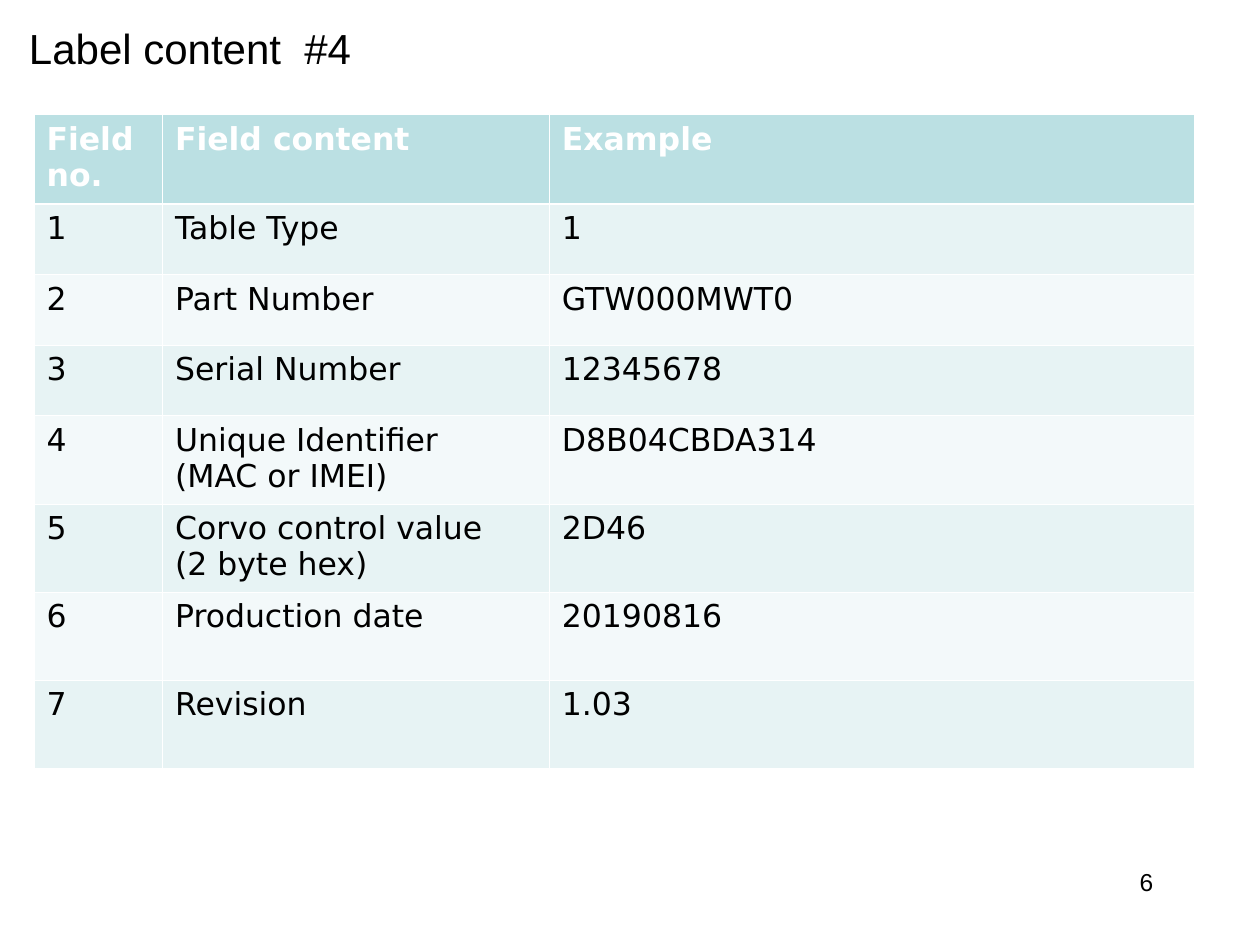
"""Build the label content slide with its table of fields."""
import pptx
import pptx.dml.color
import pptx.enum.text
import pptx.oxml.ns
import pptx.util
from lxml import etree

Inches = pptx.util.Inches
Pt = pptx.util.Pt
qn = pptx.oxml.ns.qn

HEADER = ["Field no.", "Field content", "Example"]
FIELDS = [
    ["1", "Table Type", "1"],
    ["2", "Part Number", "GTW000MWT0"],
    ["3", "Serial Number", "12345678"],
    ["4", "Unique Identifier \n(MAC or IMEI)", "D8B04CBDA314"],
    ["5", "Corvo control value \n(2 byte hex)", "2D46"],
    ["6", "Production date", "20190816"],
    ["7", "Revision", "1.03"],
]
COL_WIDTHS = [1.02, 3.07, 5.12]
ROW_HEIGHTS = [0.71] + [0.56] * 3 + [0.7] * 4


def rgb(value):
    return pptx.dml.color.RGBColor.from_string(value)


class Deck:
    font = "Arial"
    table_font = "DejaVu Sans"
    black, white = "000000", "FFFFFF"
    header_fill = "BBE0E3"
    band_fills = ["E7F3F4", "F3F9FA"]
    thin, thick = 0.45, 1.47

    def __init__(self, width, height):
        self.prs = pptx.Presentation()
        self.prs.slide_width = Inches(width)
        self.prs.slide_height = Inches(height)
        self.s = self.prs.slides.add_slide(self.prs.slide_layouts[5])

    def add_text(self, tf, text, size, font, color, bold=False, align="LEFT"):
        p = tf.paragraphs[0]
        p.alignment = pptx.enum.text.PP_ALIGN[align]
        for i, line in enumerate(text.split("\n")):
            if i:
                p.add_line_break()
            r = p.add_run()
            r.text = line
            r.font.size = Pt(size)
            r.font.name = font
            r.font.bold = bold
            r.font.color.rgb = rgb(color)

    def title(self, text, left, top, width, height):
        sp = self.s.shapes.title
        sp.left, sp.top = Inches(left), Inches(top)
        sp.width, sp.height = Inches(width), Inches(height)
        tf = sp.text_frame
        tf.vertical_anchor = pptx.enum.text.MSO_ANCHOR.TOP
        tf.auto_size = pptx.enum.text.MSO_AUTO_SIZE.SHAPE_TO_FIT_TEXT
        self.add_text(tf, text, 24, self.font, self.black)

    def page_number(self, text, left, top, width, height):
        sp = self.s.shapes.add_textbox(
            Inches(left), Inches(top), Inches(width), Inches(height))
        sp.text_frame.word_wrap = True
        self.add_text(sp.text_frame, text, 14, self.font, self.black, align="RIGHT")

    def borders(self, cell, top, bottom):
        tcPr = cell._tc.get_or_add_tcPr()
        sides = {"L": self.thin, "R": self.thin, "T": top, "B": bottom}
        for side, points in sides.items():
            ln = etree.SubElement(tcPr, qn(f"a:ln{side}"), w=str(Pt(points)))
            fill = etree.SubElement(ln, qn("a:solidFill"))
            etree.SubElement(fill, qn("a:srgbClr"), val=self.white)

    def table(self, rows, left, top, widths, heights):
        table = self.s.shapes.add_table(
            len(rows), len(widths), Inches(left), Inches(top),
            Inches(sum(widths)), Inches(sum(heights))).table
        for col, width in zip(table.columns, widths):
            col.width = Inches(width)
        for i, (row, height) in enumerate(zip(rows, heights)):
            table.rows[i].height = Inches(height)
            head = i == 0
            fill = self.header_fill if head else self.band_fills[(i - 1) % 2]
            color = self.white if head else self.black
            for j, text in enumerate(row):
                cell = table.cell(i, j)
                self.borders(cell, self.thick if i == 1 else self.thin,
                             self.thick if head else self.thin)
                cell.fill.solid()
                cell.fill.fore_color.rgb = rgb(fill)
                self.add_text(cell.text_frame, text, 18, self.table_font, color, head)


def main():
    deck = Deck(10, 7.5)
    deck.title("Label content  #4", 0.13, 0.13, 9.69, 0.5)
    deck.table([HEADER] + FIELDS, 0.27, 0.91, COL_WIDTHS, ROW_HEIGHTS)
    deck.page_number("6", 7.17, 6.83, 2.08, 0.5)
    deck.prs.save("out.pptx")


if __name__ == "__main__":
    main()
